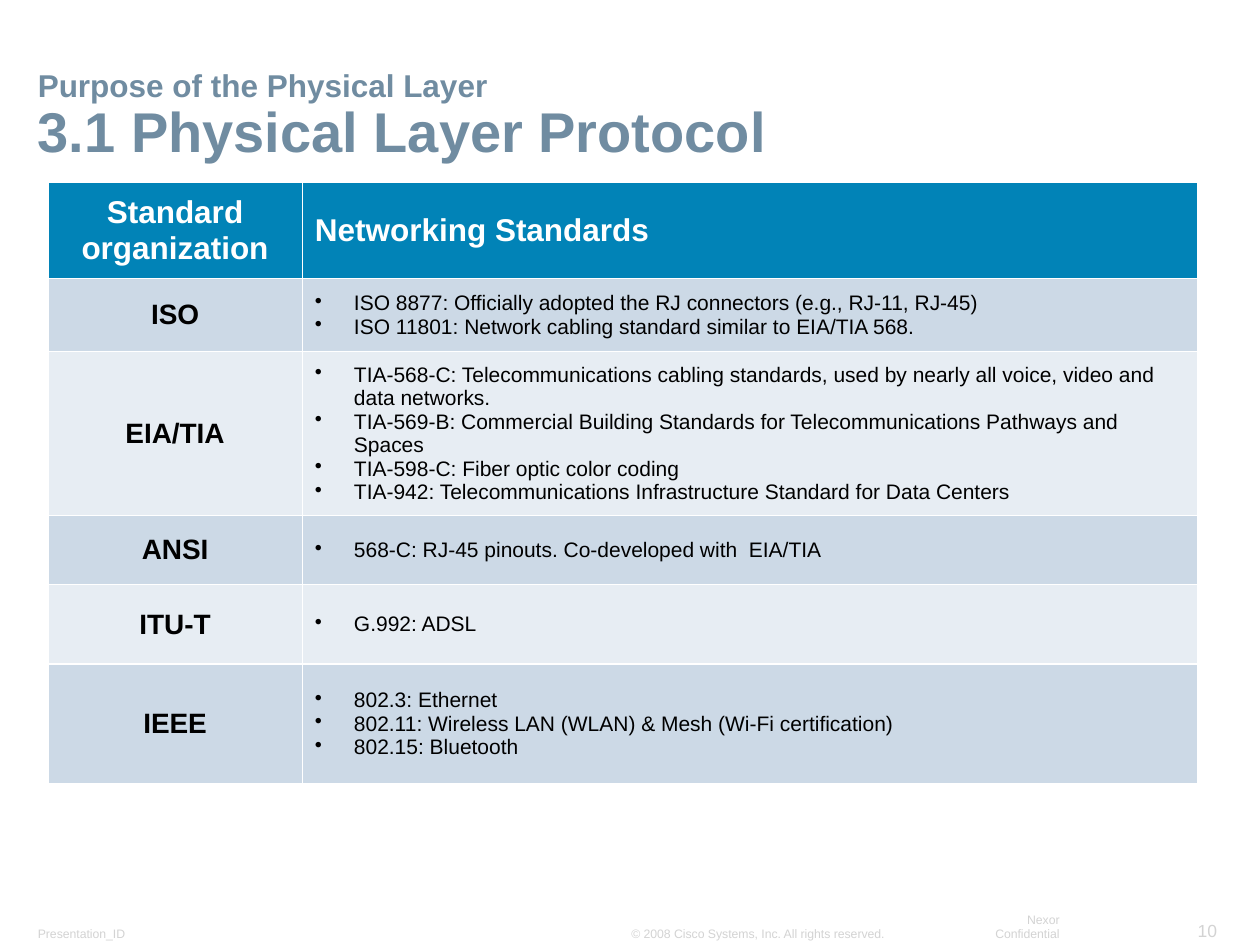
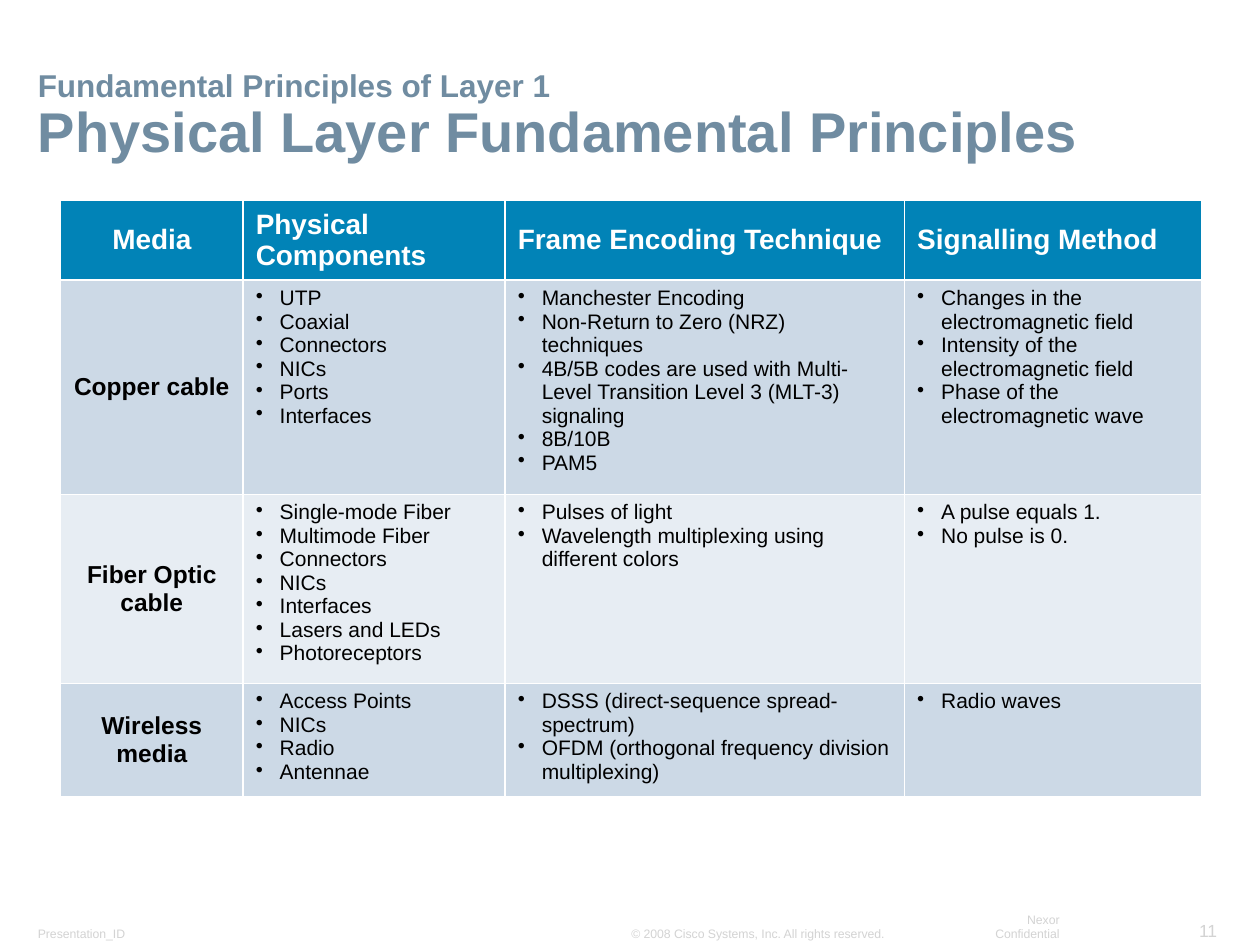
import copy
import pptx
import pptx.util
import pptx.dml.color
import pptx.enum.text
import pptx.oxml
import pptx.oxml.ns

Inches = pptx.util.Inches
ALIGN = pptx.enum.text.PP_ALIGN
ANCHOR = pptx.enum.text.MSO_ANCHOR

COLORS = {
    "title": "708CA1",
    "header": "0183B7",
    "header_text": "FFFFFF",
    "odd_row": "CCD9E6",
    "even_row": "E7EDF3",
    "text": "000000",
    "footer": "D3D3D3",
}
FONT = "Arial"


def add_run(paragraph, text, size, color, bold=False):
    run = paragraph.add_run()
    run.text = text
    run.font.name = FONT
    run.font.size = pptx.util.Pt(size)
    run.font.bold = bold
    run.font.color.rgb = pptx.dml.color.RGBColor.from_string(COLORS[color])
    return run


def add_bullet(paragraph, indent):
    properties = paragraph._p.get_or_add_pPr()
    properties.set("marL", str(Inches(indent)))
    properties.set("indent", str(-Inches(indent)))
    bullet = pptx.oxml.parse_xml(
        f'<a:buChar {pptx.oxml.ns.nsdecls("a")} char="•"/>')
    properties.append(bullet)


# Footer parts: text, left, top, width, height, size, alignment
FOOTERS = [
    ("Presentation_ID", 0.21, 7.3, 1.05, 0.21, 7, ALIGN.LEFT),
    ("{number}", 9.4, 7.25, 0.35, 0.26, 10, ALIGN.RIGHT),
    ("© 2008 Cisco Systems, Inc. All rights reserved.",
     4.92, 7.3, 2.21, 0.21, 7, ALIGN.LEFT),
    ("Nexor Confidential", 7.54, 7.3, 0.96, 0.21, 7, ALIGN.RIGHT),
]

# Slide content: each body row is a name followed by one list per column
lessons = [
    {
        "number": 10,
        "topic": "Purpose of the Physical Layer",
        "heading": "3.1 Physical Layer Protocol",
        "left": 0.38, "top": 1.45,
        "columns": [2.02, 7.11],
        "heights": [0.76, 0.58, 1.3, 0.55, 0.63, 0.95],
        "header_size": 18, "name_size": 16,
        "indent": 0.31, "list_anchor": ANCHOR.MIDDLE,
        "header": ["Standard organization", "Networking Standards"],
        "rows": [
            ["ISO", [
                "ISO 8877: Officially adopted the RJ connectors (e.g., RJ-11, RJ-45)",
                "ISO 11801: Network cabling standard similar to EIA/TIA 568."]],
            ["EIA/TIA", [
                "TIA-568-C: Telecommunications cabling standards, used by nearly "
                "all voice, video and data networks.",
                "TIA-569-B: Commercial Building Standards for Telecommunications "
                "Pathways and Spaces",
                "TIA-598-C: Fiber optic color coding",
                "TIA-942: Telecommunications Infrastructure Standard for Data Centers"]],
            ["ANSI", ["568-C: RJ-45 pinouts. Co-developed with  EIA/TIA"]],
            ["ITU-T", ["G.992: ADSL"]],
            ["IEEE", [
                "802.3: Ethernet",
                "802.11: Wireless LAN (WLAN) & Mesh (Wi-Fi certification)",
                "802.15: Bluetooth"]],
        ],
    },
    {
        "number": 11,
        "topic": "Fundamental Principles of Layer 1",
        "heading": "Physical Layer Fundamental Principles",
        "left": 0.48, "top": 1.59,
        "columns": [1.45, 2.08, 3.17, 2.36],
        "heights": [0.63, 1.7, 1.5, 0.9],
        "header_size": 16, "name_size": 14,
        "indent": 0.19, "list_anchor": ANCHOR.TOP,
        "header": ["Media", "Physical Components", "Frame Encoding Technique",
                   "Signalling Method"],
        "rows": [
            ["Copper cable",
             ["UTP", "Coaxial", "Connectors", "NICs", "Ports", "Interfaces"],
             ["Manchester Encoding",
              "Non-Return to Zero (NRZ) techniques",
              "4B/5B codes are used with Multi-Level Transition Level 3 (MLT-3) signaling",
              "8B/10B", "PAM5"],
             ["Changes in the electromagnetic field",
              "Intensity of the electromagnetic field",
              "Phase of the electromagnetic wave"]],
            ["Fiber Optic cable",
             ["Single-mode Fiber", "Multimode Fiber", "Connectors", "NICs",
              "Interfaces", "Lasers and LEDs", "Photoreceptors"],
             ["Pulses of light", "Wavelength multiplexing using different colors"],
             ["A pulse equals 1.", "No pulse is 0."]],
            ["Wireless media",
             ["Access Points", "NICs", "Radio", "Antennae"],
             ["DSSS (direct-sequence spread-spectrum)",
              "OFDM (orthogonal frequency division multiplexing)"],
             ["Radio waves"]],
        ],
    },
]

prs = pptx.Presentation()
prs.slide_width = Inches(10)
prs.slide_height = Inches(7.5)

for lesson in lessons:
    slide = prs.slides.add_slide(prs.slide_layouts[5])

    # Footer
    for text, left, top, width, height, size, alignment in FOOTERS:
        footer = slide.shapes.add_textbox(
            Inches(left), Inches(top), Inches(width), Inches(height))
        frame = footer.text_frame
        frame.word_wrap = False
        frame.vertical_anchor = ANCHOR.BOTTOM
        frame.margin_left = frame.margin_right = Inches(0.09)
        frame.margin_top = frame.margin_bottom = Inches(0.04)
        line = frame.paragraphs[0]
        line.alignment = alignment
        add_run(line, text.format(number=lesson["number"]), size, "footer")

    # Title: small topic line above the large heading
    title = slide.shapes.title
    title.left, title.top = Inches(0.21), Inches(0.43)
    title.width, title.height = Inches(9.59), Inches(0.92)
    frame = title.text_frame
    frame.word_wrap = True
    frame.auto_size = pptx.enum.text.MSO_AUTO_SIZE.NONE
    frame.vertical_anchor = ANCHOR.BOTTOM
    frame.margin_left = frame.margin_right = Inches(0.09)
    frame.margin_top = frame.margin_bottom = Inches(0.04)
    line = frame.paragraphs[0]
    line.alignment = ALIGN.LEFT
    line.line_spacing = 0.9
    topic = add_run(line, lesson["topic"], 18, "title", bold=True)
    line.add_line_break()
    line_break = line._p.find(pptx.oxml.ns.qn("a:br"))
    line_break.append(copy.deepcopy(topic._r.rPr))
    add_run(line, lesson["heading"], 32, "title", bold=True)

    # Table: its default style draws the white rules
    columns, heights = lesson["columns"], lesson["heights"]
    table = slide.shapes.add_table(
        len(heights), len(columns), Inches(lesson["left"]), Inches(lesson["top"]),
        Inches(sum(columns)), Inches(sum(heights))).table
    for column, width in zip(table.columns, columns):
        column.width = Inches(width)
    for row, height in zip(table.rows, heights):
        row.height = Inches(height)

    for r, entries in enumerate([lesson["header"]] + lesson["rows"]):
        fill = "header" if r == 0 else "odd_row" if r % 2 else "even_row"
        for c, entry in enumerate(entries):
            cell = table.cell(r, c)
            cell.fill.solid()
            cell.fill.fore_color.rgb = pptx.dml.color.RGBColor.from_string(COLORS[fill])
            cell.vertical_anchor = ANCHOR.MIDDLE
            line = cell.text_frame.paragraphs[0]
            if r == 0:
                line.alignment = ALIGN.LEFT if c else ALIGN.CENTER
                add_run(line, entry, lesson["header_size"], "header_text", bold=True)
            elif c == 0:
                line.alignment = ALIGN.CENTER
                add_run(line, entry, lesson["name_size"], "text", bold=True)
            else:
                cell.vertical_anchor = lesson["list_anchor"]
                for i, item in enumerate(entry):
                    if i:
                        line = cell.text_frame.add_paragraph()
                    line.alignment = ALIGN.LEFT
                    add_bullet(line, lesson["indent"])
                    add_run(line, item, 12, "text")

prs.save("out.pptx")
